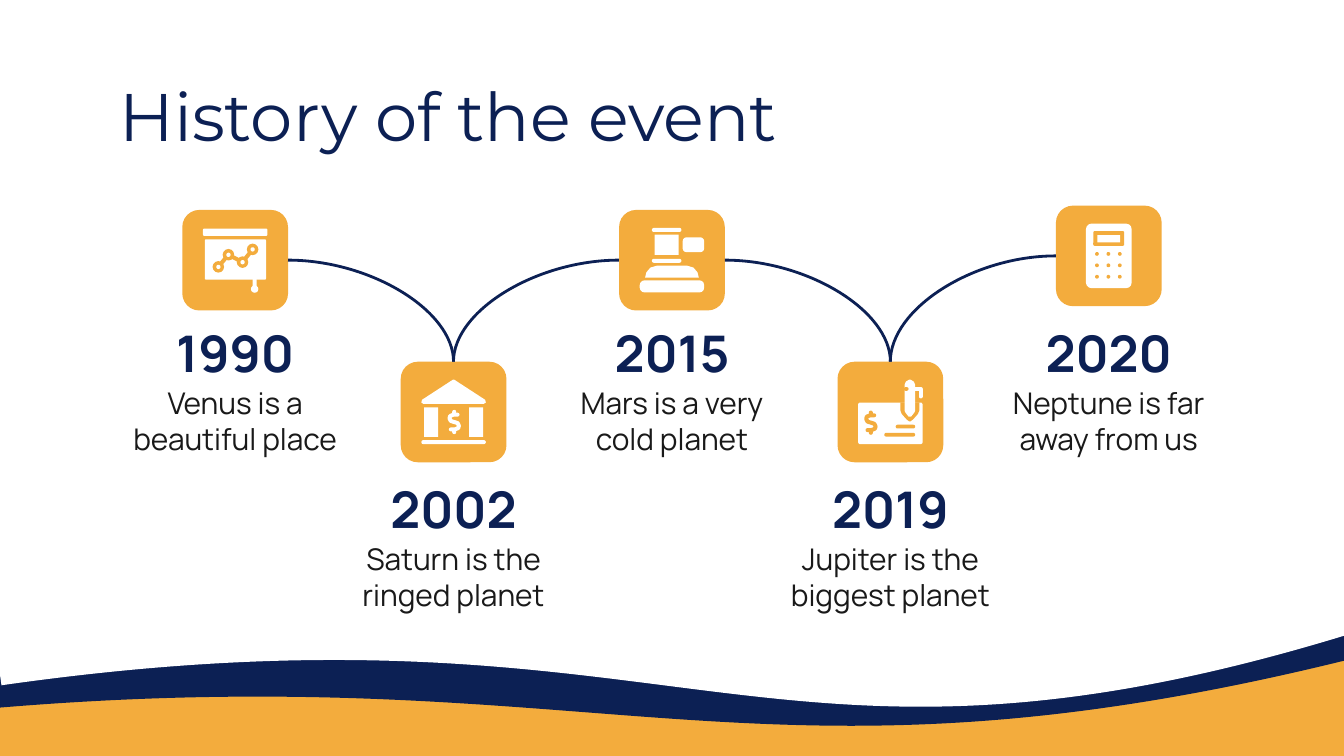
import dataclasses
import itertools
import pptx
import pptx.dml.color
import pptx.enum.shapes
import pptx.enum.text
import pptx.util
import lxml.etree

KIND = pptx.enum.shapes.MSO_SHAPE
ALIGN = pptx.enum.text.PP_ALIGN
GLYPH_CELLS = 48


@dataclasses.dataclass(frozen=True)
class Theme:
    navy: str = "0C2054"
    amber: str = "F3AC3D"
    white: str = "FFFFFF"
    ink: str = "191919"
    heading_font: str = "Montserrat"
    body_font: str = "Manrope"
    title_size: int = 36
    year_size: int = 27
    body_size: int = 16
    arc_width: float = 1.5


THEME = Theme()


@dataclasses.dataclass(frozen=True)
class Box:
    left: float
    top: float
    width: float
    height: float

    def percent(self, x, y, w, h):
        return Box(self.left + x * self.width / 100, self.top + y * self.height / 100,
                   w * self.width / 100, h * self.height / 100)

    def emu(self):
        return [pptx.util.Inches(v) for v in dataclasses.astuple(self)]


def rgb(colour):
    return pptx.dml.color.RGBColor.from_string(colour)


def paint(shape, colour):
    shape.shadow.inherit = False
    shape.fill.solid()
    shape.fill.fore_color.rgb = rgb(colour)
    shape.line.fill.background()
    return shape


def add_block(shapes, box, kind, colour, rounding=None):
    block = paint(shapes.add_shape(kind, *box.emu()), colour)
    if rounding is not None:
        block.adjustments[0] = rounding
    return block


def add_text(slide, box, text, font, size, colour, bold=False, align=ALIGN.CENTER):
    frame = slide.shapes.add_textbox(*box.emu()).text_frame
    frame.word_wrap = True
    frame.vertical_anchor = pptx.enum.text.MSO_ANCHOR.MIDDLE
    for side in ("left", "right", "top", "bottom"):
        setattr(frame, f"margin_{side}", pptx.util.Inches(0.1))
    paragraph = frame.paragraphs[0]
    paragraph.text = text
    paragraph.alignment = align
    paragraph.font.name = font
    paragraph.font.size = pptx.util.Pt(size)
    paragraph.font.bold = bold
    paragraph.font.color.rgb = rgb(colour)


class Glyph:
    def __init__(self, slide, box):
        self.shapes = slide.shapes.add_group_shape().shapes
        self.box = box
        self.cell = box.width / GLYPH_CELLS

    def bar(self, x, y, w, h, colour=THEME.white, rounding=0):
        cells = (100 * v / GLYPH_CELLS for v in (x, y, w, h))
        add_block(self.shapes, self.box.percent(*cells), KIND.ROUNDED_RECTANGLE, colour, rounding)

    def dot(self, x, y, radius, colour=THEME.white):
        self.bar(x - radius, y - radius, 2 * radius, 2 * radius, colour, 0.5)

    def outline(self, points, close):
        spots = [(pptx.util.Inches(self.box.left + x * self.cell),
                  pptx.util.Inches(self.box.top + y * self.cell)) for x, y in points]
        builder = self.shapes.build_freeform(*spots[0])
        builder.add_line_segments(spots[1:], close=close)
        return builder.convert_to_shape()

    def area(self, points, colour=THEME.white):
        paint(self.outline(points, True), colour)

    def stroke(self, points, colour=THEME.white, width=3):
        stroke = self.outline(points, False)
        stroke.shadow.inherit = False
        stroke.fill.background()
        stroke.line.color.rgb = rgb(colour)
        stroke.line.width = pptx.util.Inches(width * self.cell)
        stroke.line._get_or_add_ln().set("cap", "rnd")

    def dollar(self, x, y, colour):
        half = [(2.5, -5.5), (-0.5, -5.5), (-3, -4.5), (-3.5, -2.8), (-2.5, -0.8), (0, 0)]
        curve = half + [(-dx, -dy) for dx, dy in reversed(half[:-1])]
        self.stroke([(x + dx, y + dy) for dx, dy in curve], colour)
        for top in (-9, 5):
            self.bar(x - 1.5, y + top, 3, 4, colour, 0.5)


def mirrored(half, axis):
    return half + [(2 * axis - x, y) for x, y in reversed(half)]


def draw_board(glyph):
    glyph.bar(0, 0.5, 48, 5.5, rounding=0.2)
    glyph.bar(1.5, 8.5, 45.5, 30, rounding=0.03)
    glyph.bar(37, 38, 3, 7)
    glyph.dot(38.5, 45.5, 2.8)
    trend = [(11.5, 29), (19, 20), (29.5, 25.5), (37, 16)]
    glyph.stroke(trend, THEME.amber)
    for point in trend:
        glyph.dot(*point, 4.3, THEME.amber)
        glyph.dot(*point, 1.6)


def draw_bank(glyph):
    glyph.area(mirrored([(23.5, 0), (0.5, 15), (0, 17), (1.5, 18)], 24))
    for x in (2, 35.5):
        glyph.bar(x, 20.5, 10.5, 22)
    glyph.bar(0, 45, 48, 3, rounding=0.5)
    glyph.dollar(24.5, 31.5, THEME.white)


def draw_gavel(glyph):
    glyph.bar(32, 7, 16, 11, rounding=0.25)
    glyph.bar(11, 5, 18, 15)
    for y in (0, 23):
        glyph.bar(9, y, 22, 3, rounding=0.5)
    glyph.area(mirrored([(4, 37), (5, 33), (8, 29.5), (13, 28)], 24))
    glyph.bar(0, 39, 48, 9, rounding=0.4)


def draw_cheque(glyph):
    glyph.bar(0, 17, 48, 31, rounding=0.05)
    glyph.area(mirrored([(31.5, 17), (31.5, 23), (32.5, 25.5), (36, 29.5), (38, 31)], 38.5),
               THEME.amber)
    glyph.bar(28, 33.5, 14.5, 2.8, THEME.amber, 0.5)
    glyph.bar(19.5, 39.5, 23, 2.8, THEME.amber, 0.5)
    glyph.dollar(9.5, 32, THEME.amber)
    glyph.area(mirrored([(38, 0), (35.5, 1.5), (34.5, 4), (34.5, 23), (35.2, 24.5),
                         (37.5, 27.5)], 38.5))
    glyph.bar(34, 5.5, 3.5, 2.8, THEME.amber, 0.5)
    glyph.stroke([(42, 7), (46.5, 7), (46.5, 12.5)])


def draw_calculator(glyph):
    glyph.bar(7, 0, 34, 48, rounding=0.12)
    glyph.bar(12.5, 5.5, 23, 11, THEME.amber, 0.1)
    glyph.bar(15.5, 8.5, 17, 5.5)
    for column, row in itertools.product(range(3), repeat=2):
        glyph.dot(15.2 + 8.5 * column, 22.5 + 8.5 * row, 1.4, THEME.amber)


def add_waves(slide, page):
    slide.background.fill.solid()
    slide.background.fill.fore_color.rgb = rgb(THEME.amber)
    for box, colour in ((page.percent(-20.8, -12.45, 135.5, 115.9), THEME.navy),
                        (page.percent(-3.2, -15.65, 109.4, 115.9), THEME.white)):
        wave = add_block(slide.shapes, box, KIND.FLOWCHART_DOCUMENT, colour)
        wave.rotation = 351.9
        wave._element.spPr.xfrm.set("flipH", "1")


def add_event(slide, box, year, fact, draw_icon, drop):
    tile_box = box.percent(29.5, drop, 41, 40)
    tile = add_block(slide.shapes, tile_box, KIND.ROUNDED_RECTANGLE, THEME.amber, 0.17)
    side = 0.25 * box.width
    draw_icon(Glyph(slide, Box(tile_box.left + (tile_box.width - side) / 2,
                               tile_box.top + (tile_box.height - side) / 2, side, side)))
    add_text(slide, box.percent(13, 43.3, 74, 30), year, THEME.body_font,
             THEME.year_size, THEME.navy, bold=True)
    add_text(slide, box.percent(0, 70.4, 100, 30), fact, THEME.body_font,
             THEME.body_size, THEME.ink)
    return tile


def add_arc(slide, upper, upper_site, lower):
    arc = slide.shapes.add_connector(pptx.enum.shapes.MSO_CONNECTOR.CURVE, 0, 0, 0, 0)
    arc.begin_connect(upper, upper_site)
    arc.end_connect(lower, 0)
    arc.line.color.rgb = rgb(THEME.navy)
    arc.line.width = pptx.util.Pt(THEME.arc_width)
    properties = arc._element.spPr
    properties.prstGeom.set("prst", "curvedConnector2")
    lxml.etree.SubElement(properties, pptx.oxml.ns.qn("a:effectLst"))


def add_timeline(slide, box, events):
    event_width = 22.8
    pitch = (100 - event_width) / (len(events) - 1)
    tiles = [add_event(slide, box.percent(index * pitch, 38.3 * (index % 2), event_width, 61.7),
                       *event)
             for index, event in enumerate(events)]
    left_site, right_site = 1, 3
    for index in range(1, len(tiles), 2):
        add_arc(slide, tiles[index - 1], right_site, tiles[index])
        add_arc(slide, tiles[index + 1], left_site, tiles[index])


def main():
    deck = pptx.Presentation()
    page = Box(0, 0, 10, 10 * 9 / 16)
    deck.slide_width, deck.slide_height = page.emu()[2:]
    slide = deck.slides.add_slide(deck.slide_layouts[6])
    add_waves(slide, page)
    add_text(slide, page.percent(7.9, 10.4, 84.3, 9.4), "History of the event",
             THEME.heading_font, THEME.title_size, THEME.navy, align=ALIGN.LEFT)
    add_timeline(slide, page.percent(7.9, 27.2, 84.2, 53.9), [
        ("1990", "Venus is a beautiful place", draw_board, 1.7),
        ("2002", "Saturn is the ringed planet", draw_bank, 0),
        ("2015", "Mars is a very cold planet", draw_gavel, 1.7),
        ("2019", "Jupiter is the biggest planet", draw_cheque, 0),
        ("2020", "Neptune is far away from us", draw_calculator, 0),
    ])
    deck.save("out.pptx")


if __name__ == "__main__":
    main()
